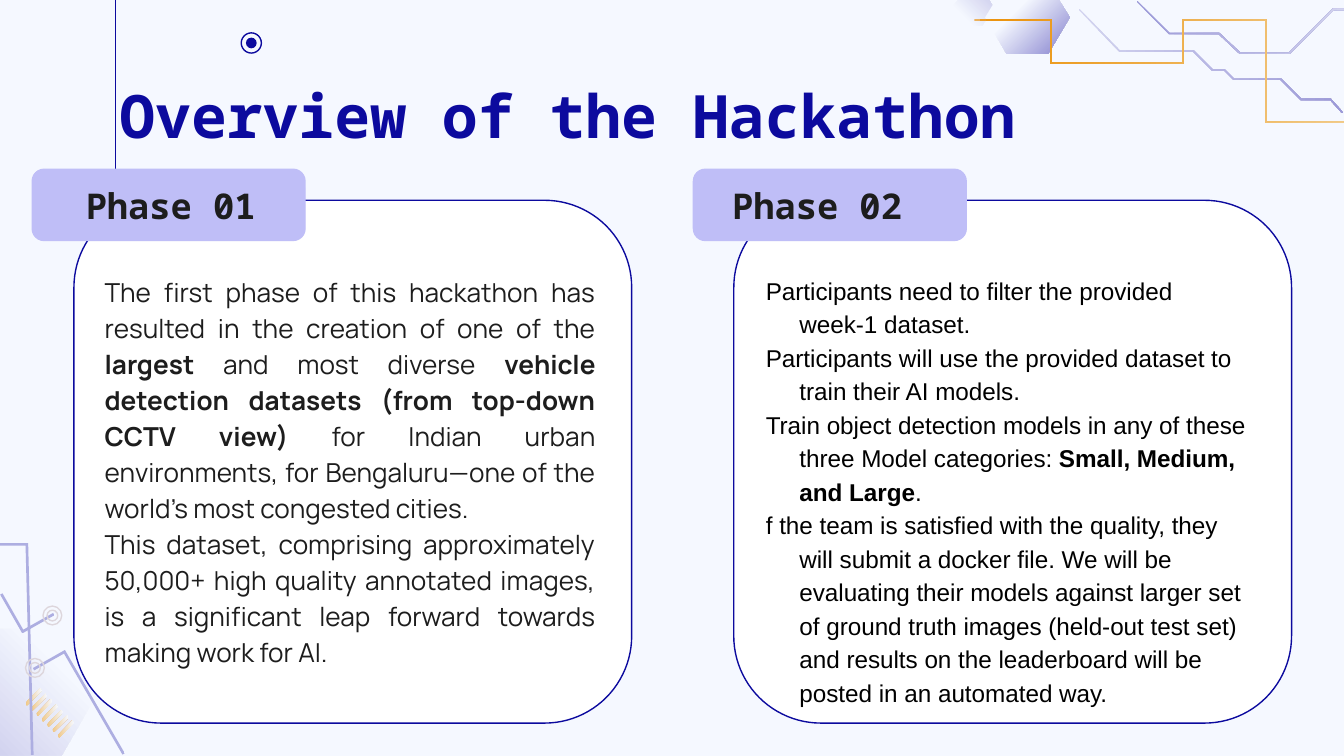
import math

import pptx
import pptx.dml.color
import pptx.enum.shapes
import pptx.enum.text
import pptx.util
from lxml import etree
from pptx.oxml.ns import qn

Inches = pptx.util.Inches
Pt = pptx.util.Pt
SHAPES = pptx.enum.shapes.MSO_SHAPE
ALIGN = pptx.enum.text.PP_ALIGN
ANCHOR = pptx.enum.text.MSO_ANCHOR

THEME = {
    "background": "F5F8FF", "navy": "0C0A9E", "ink": "1D1D1D", "black": "000000",
    "white": "FFFFFF", "lavender": "BFBEF7", "strut": "ADAEE1", "ring": "DDD6DC",
    "orange": "EB9109", "pale_orange": "F2CB8A", "bar": "F0C785",
    "trace": "9C9AD8", "pale_trace": "D2D3EF", "hexagon": "8481CE",
    "mono": "Noto Sans Mono", "sans": "Manrope", "plain": "Arial",
    "title_size": 32, "phase_size": 19, "first_size": 14, "second_size": 13,
    "line": 0.75,
}
SLIDE_WIDTH = Inches(10)
SLIDE_HEIGHT = SLIDE_WIDTH * 9 // 16

TITLE = "Overview of the Hackathon"
PHASES = [
    {
        "heading": "Phase 01", "badge_left": 0.24, "panel_left": 0.55,
        "heading_box": (0.54, 1.74), "body_box": (0.68, 3.85),
        "format": {"size": THEME["first_size"], "font": THEME["sans"],
                   "color": THEME["ink"], "align": ALIGN.JUSTIFY},
        "body": [
            [("The first phase of this hackathon has resulted in the creation of one of the ", False),
             ("largest ", True), ("and most diverse ", False),
             ("vehicle detection datasets (from top-down CCTV view)", True),
             (" for Indian urban environments, for Bengaluru—one of the world’s most "
              "congested cities.", False)],
            [("This dataset, comprising approximately 50,000+ high quality annotated images, "
              "is a significant leap forward towards making work for AI.", False)],
        ],
    },
    {
        "heading": "Phase 02", "badge_left": 5.16, "panel_left": 5.46,
        "heading_box": (5.35, 1.56), "body_box": (5.6, 3.83),
        "format": {"size": THEME["second_size"], "font": THEME["plain"],
                   "color": THEME["black"], "hanging": 0.25},
        "body": [
            [("Participants need to filter the provided week-1 dataset.", False)],
            [("Participants will use the provided dataset to train their AI models.", False)],
            [("Train object detection models in any of these three Model categories: ", False),
             ("Small, Medium, and Large", True), (".", False)],
            [("f the team is satisfied with the quality, they will submit a docker file. "
              "We will be evaluating their models against larger set of ground truth images "
              "(held-out test set) and results on the leaderboard will be posted in an "
              "automated way.", False)],
        ],
    },
]

HEXAGONS = [
    ([(0, 4.68), (0.38, 4.68), (0.69, 5.22), (0.46, 5.62), (0, 5.62)], "pale_trace", 225),
    ([(7.13, 0), (7.08, 0.05), (7.15, 0.19), (7.31, 0.19), (7.39, 0.05), (7.36, 0)],
     "pale_trace", 45),
    ([(7.41, 0), (7.33, 0.13), (7.49, 0.4), (7.8, 0.4), (7.96, 0.13), (7.88, 0)],
     "hexagon", 315),
]
STRUTS = [
    [(0.01, 4.42), (0.17, 4.7), (0.4, 4.57)],
    [(0, 4.05), (0.2, 4.05), (0.24, 5.62)],
    [(0.25, 4.98), (0.48, 4.85), (0.92, 5.61)],
]
RINGS = [(0.39, 4.58), (0.26, 4.97)]
TRACES = [
    ([(8.03, 0.07), (8.33, 0.38), (8.88, 0.38), (9.02, 0.52), (9.11, 0.52), (9.18, 0.59),
      (9.53, 0.59), (9.68, 0.74), (9.9, 0.74), (9.99, 0.84)], "pale_trace", "trace"),
    ([(8.46, 0.01), (8.7, 0.25), (9.07, 0.25), (9.23, 0.4), (9.59, 0.4), (9.92, 0.07),
      (10, 0.07)], "trace", "pale_trace"),
    ([(7.25, 0.15), (7.82, 0.15), (7.82, 0.47), (8.8, 0.47), (8.8, 0.15), (9.42, 0.15),
      (9.42, 0.91), (10, 0.91)], "orange", "pale_orange"),
]
BAR = [(0.3, 5.12), (0.19, 5.23), (0.2, 5.25), (0.31, 5.14)]
BAR_COUNT, BAR_STEP = 7, 0.04


def rgb(color):
    return pptx.dml.color.RGBColor.from_string(color)


def add_text(slide, at, paragraphs, size, font, color, align=ALIGN.LEFT,
             anchor=ANCHOR.TOP, spacing=1.0, hanging=0):
    frame = slide.shapes.add_textbox(*map(Inches, at)).text_frame
    frame.word_wrap = True
    frame.vertical_anchor = anchor
    frame.margin_left = frame.margin_right = Inches(0.1)
    frame.margin_top = frame.margin_bottom = Inches(0.1)
    for index, runs in enumerate(paragraphs):
        paragraph = frame.paragraphs[0] if index == 0 else frame.add_paragraph()
        paragraph.alignment = align
        paragraph.line_spacing = spacing
        if hanging:
            properties = paragraph._p.get_or_add_pPr()
            properties.set("marL", str(Inches(hanging)))
            properties.set("indent", str(-Inches(hanging)))
        for words, bold in runs:
            run = paragraph.add_run()
            run.text = words
            run.font.size, run.font.name, run.font.bold = Pt(size), font, bold
            run.font.color.rgb = rgb(color)


def add_preset(slide, preset, at, fill=None, line=None):
    shape = slide.shapes.add_shape(preset, *map(Inches, at))
    shape.shadow.inherit = False
    if fill:
        shape.fill.solid()
        shape.fill.fore_color.rgb = rgb(fill)
    else:
        shape.fill.background()
    if line:
        shape.line.color.rgb = rgb(line)
        shape.line.width = Pt(THEME["line"])
    else:
        shape.line.fill.background()


def add_outline(slide, points, start, end, angle=0, start_at=0):
    corners = [(Inches(x), Inches(y)) for x, y in points]
    builder = slide.shapes.build_freeform(*corners[0], scale=1.0)
    builder.add_line_segments(corners[1:], close=True)
    shape = builder.convert_to_shape()
    shape.shadow.inherit = False
    shape.line.fill.background()
    shape.fill.gradient()
    shape.fill.gradient_angle = angle
    first, last = shape.fill.gradient_stops
    first.color.rgb, first.position = rgb(THEME[start]), start_at
    last.color.rgb, last.position = rgb(THEME[end]), 1


def ribbon(points, width):
    headings = [math.atan2(y2 - y1, x2 - x1)
                for (x1, y1), (x2, y2) in zip(points, points[1:])]
    upper, lower = [], []
    for (x, y), before, after in zip(points, headings[:1] + headings, headings + headings[-1:]):
        turn = math.remainder(after - before, math.tau) / 2
        reach = width / 2 / math.cos(turn)
        dx, dy = -math.sin(before + turn) * reach, math.cos(before + turn) * reach
        upper.append((x + dx, y + dy))
        lower.append((x - dx, y - dy))
    return upper + lower[::-1]


def add_circle(slide, center, size, **look):
    x, y = center
    add_preset(slide, SHAPES.OVAL, (x - size / 2, y - size / 2, size, size), **look)


def add_decoration(slide):
    for points, shade, angle in HEXAGONS:
        add_outline(slide, points, "background", shade, angle=angle, start_at=0.3)
    for index in range(BAR_COUNT):
        shift = index * BAR_STEP
        add_outline(slide, [(x + shift, y + shift) for x, y in BAR], "bar", "background")
    for points in STRUTS:
        add_outline(slide, ribbon(points, 0.02), "strut", "strut")
    for center in RINGS:
        for size in (0.14, 0.08):
            add_circle(slide, center, size, line=THEME["ring"])
    for points, start, end in TRACES:
        add_outline(slide, ribbon(points, 0.01), start, end)
    add_circle(slide, (1.87, 0.32), 0.15, line=THEME["navy"])
    add_circle(slide, (1.87, 0.32), 0.08, fill=THEME["navy"])
    stem = slide.shapes.add_connector(pptx.enum.shapes.MSO_CONNECTOR.STRAIGHT,
                                      Inches(0.86), 0, Inches(0.86), Inches(1.31))
    stem.line.color.rgb = rgb(THEME["navy"])
    stem.line.width = Pt(THEME["line"])
    etree.SubElement(stem._element.spPr, qn("a:effectLst"))


def add_phase(slide, phase):
    heading_left, heading_width = phase["heading_box"]
    body_left, body_width = phase["body_box"]
    add_preset(slide, SHAPES.ROUNDED_RECTANGLE, (phase["panel_left"], 1.49, 4.15, 3.89),
               fill=THEME["white"], line=THEME["navy"])
    add_text(slide, (body_left, 1.92, body_width, 3.01), phase["body"],
             spacing=1.15, **phase["format"])
    add_preset(slide, SHAPES.ROUNDED_RECTANGLE, (phase["badge_left"], 1.26, 2.03, 0.53),
               fill=THEME["lavender"], line=THEME["lavender"])
    add_text(slide, (heading_left, 1.26, heading_width, 0.53), [[(phase["heading"], True)]],
             size=THEME["phase_size"], font=THEME["mono"], color=THEME["ink"],
             anchor=ANCHOR.BOTTOM, spacing=1.15)


def main():
    deck = pptx.Presentation()
    deck.slide_width, deck.slide_height = SLIDE_WIDTH, SLIDE_HEIGHT
    slide = deck.slides.add_slide(deck.slide_layouts[6])
    slide.background.fill.solid()
    slide.background.fill.fore_color.rgb = rgb(THEME["background"])
    add_decoration(slide)
    add_text(slide, (0.79, 0.49, 8.43, 0.63), [[(TITLE, True)]], size=THEME["title_size"],
             font=THEME["mono"], color=THEME["navy"])
    for phase in PHASES:
        add_phase(slide, phase)
    deck.save("out.pptx")


if __name__ == "__main__":
    main()
